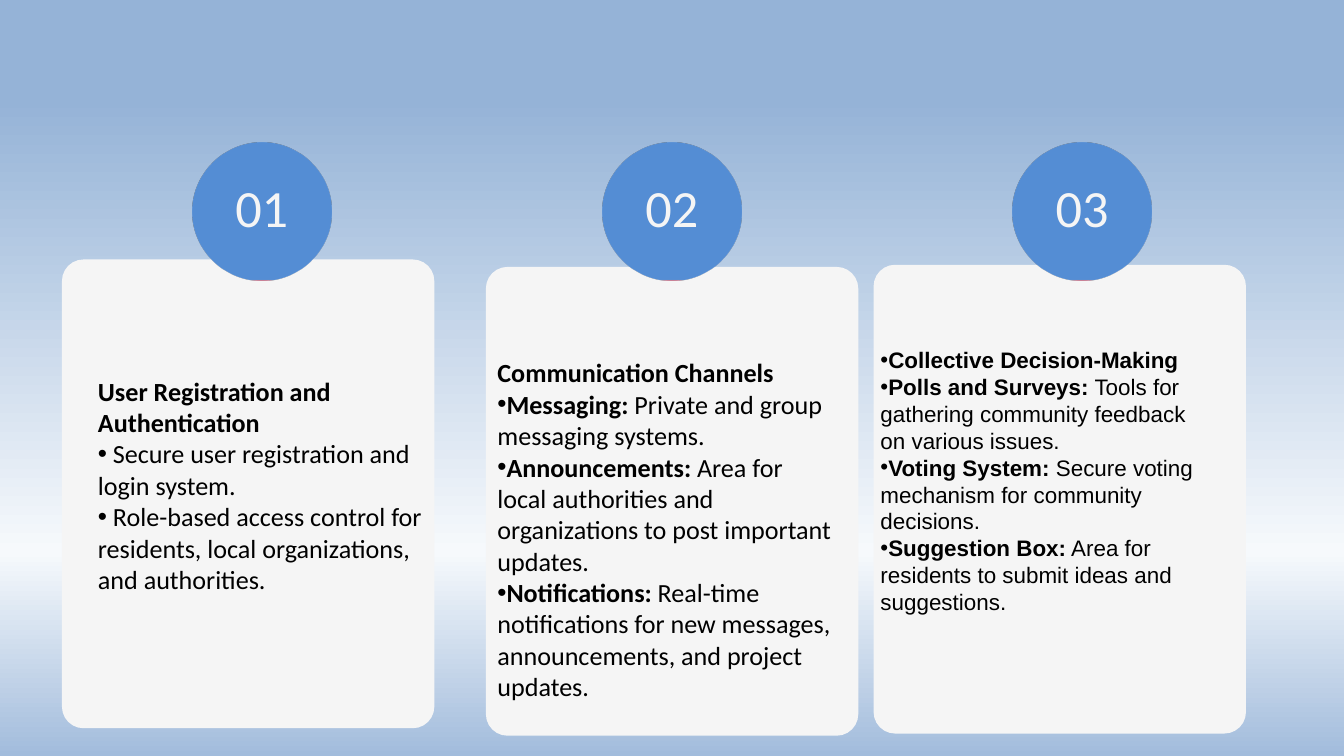
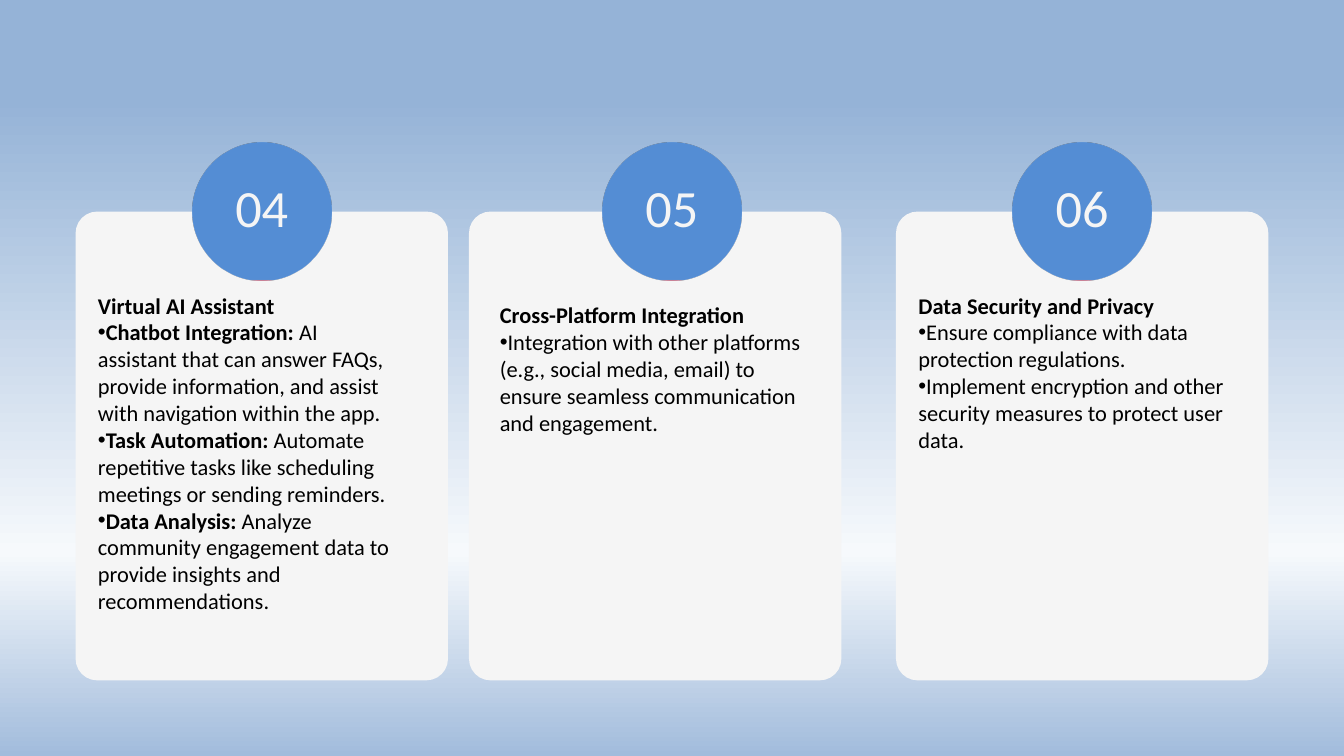
from lxml import etree
from pptx import Presentation
from pptx.dml.color import RGBColor
from pptx.enum.shapes import MSO_SHAPE
from pptx.enum.text import MSO_AUTO_SIZE, PP_ALIGN
from pptx.oxml.ns import qn
from pptx.util import Pt

OVAL, ROUND = MSO_SHAPE.OVAL, MSO_SHAPE.ROUNDED_RECTANGLE
LEFT, CENTER = PP_ALIGN.LEFT, PP_ALIGN.CENTER
GROW = MSO_AUTO_SIZE.SHAPE_TO_FIT_TEXT

WIDTH, HEIGHT = 1440, 810
PALE, BLACK = "F5F5F5", "000000"
# Gradient stops: position in percent, colour, opacity in percent
SKY = [(13, "95B3D7", 100), (73, "F6F9FC", 22), (100, "A2BCDC", 100),
       (100, "AEC5E1", 100), (100, "C6D6EA", 100)]
BADGE = [(99, "558ED5", 100), (100, "FF2929", 54)]

CARD_W, CARD_H, CORNER = 399, 502.3, 0.058
DISC, DISC_TOP, PITCH = 148.5, 152.6, 439.5
NUM_W, NUM_H, NUM_TOP = 121.5, 70, 188

# Each card: (left, top), text box (left, top, width, height), size, font, lines.
# "•" starts a bullet; text before "|" is bold, text after it is plain.
CORE = [
    ((66.4, 278), (105, 401.8, 350.6, 291), 28, "Calibri", [
        "User Registration and Authentication",
        "•| Secure user registration and login system.",
        "•| Role-based access control for residents, local organizations, "
        "and authorities."]),
    ((520.6, 286), (533, 382.3, 363, 373), 28, "Calibri", [
        "Communication Channels",
        "•Messaging:| Private and group messaging systems.",
        "•Announcements:| Area for local authorities and organizations "
        "to post important updates.",
        "•Notifications:| Real-time notifications for new messages, "
        "announcements, and project updates."]),
    ((936, 283.7), (943.4, 371, 360, 291), 24, "Arial", [
        "•Collective Decision-Making",
        "•Polls and Surveys:| Tools for gathering community feedback "
        "on various issues.",
        "•Voting System:| Secure voting mechanism for community decisions.",
        "•Suggestion Box:| Area for residents to submit ideas and "
        "suggestions."]),
]
EXTRA = [
    ((81, 226.7), (105, 312.5, 319.7, 349), 24, "Calibri", [
        "Virtual AI Assistant",
        "•Chatbot Integration:| AI assistant that can answer FAQs, provide "
        "information, and assist with navigation within the app.",
        "•Task Automation:| Automate repetitive tasks like scheduling "
        "meetings or sending reminders.",
        "•Data Analysis:| Analyze community engagement data to provide "
        "insights and recommendations."]),
    ((502.5, 226.7), (535.5, 322.8, 329, 145.5), 24, "Calibri", [
        "Cross-Platform Integration",
        "•|Integration with other platforms (e.g., social media, email) to "
        "ensure seamless communication and engagement."]),
    ((960, 226.7), (984, 312.5, 337, 174), 24, "Calibri", [
        "Data Security and Privacy",
        "•|Ensure compliance with data protection regulations.",
        "•|Implement encryption and other security measures to protect "
        "user data."]),
]


def paint(fill, tone):
    fill.solid()
    fill.fore_color.rgb = RGBColor.from_string(tone)


def blend(fill, owner, stops):
    """Give the fill a top-down gradient with any number of stops."""
    fill.gradient()
    grad = owner.find(".//" + qn("a:gradFill"))
    steps = grad.find(qn("a:gsLst"))
    for old in list(steps):
        steps.remove(old)
    for place, tone, solid in stops:
        stop = etree.SubElement(steps, qn("a:gs"), pos=str(place * 1000))
        hue = etree.SubElement(stop, qn("a:srgbClr"), val=tone)
        if solid < 100:
            etree.SubElement(hue, qn("a:alpha"), val=str(solid * 1000))
    line = grad.find(qn("a:lin"))
    line.set("ang", "5400000")
    line.set("scaled", "0")


def add_shape(slide, kind, *box):
    shape = slide.shapes.add_shape(kind, *map(Pt, box))
    shape.shadow.inherit = False
    shape.line.fill.background()
    return shape


def add_bullet(para):
    props = para._p.get_or_add_pPr()
    props.set("marL", "0")
    props.set("indent", "0")
    etree.SubElement(props, qn("a:buFont"), typeface="Arial")
    etree.SubElement(props, qn("a:buChar"), char="•")


def add_text(slide, lines, box, size, font="Calibri", tone=BLACK,
             bold=True, align=LEFT, pace=None):
    frame = slide.shapes.add_textbox(*map(Pt, box)).text_frame
    frame.margin_left = frame.margin_right = 0
    frame.margin_top = frame.margin_bottom = 0
    frame.word_wrap = True
    frame.auto_size = GROW
    for i, line in enumerate(lines):
        para = frame.add_paragraph() if i else frame.paragraphs[0]
        para.alignment = align
        if pace:
            para.line_spacing = Pt(pace)
        if line.startswith("•"):
            add_bullet(para)
        head, _, tail = line.removeprefix("•").partition("|")
        for words, heavy in ((head, bold), (tail, False)):
            if words:
                run = para.add_run()
                run.text = words
                run.font.size, run.font.name = Pt(size), font
                run.font.bold = heavy
                run.font.color.rgb = RGBColor.from_string(tone)


def add_card(slide, left, top):
    card = add_shape(slide, ROUND, left, top, CARD_W, CARD_H)
    card.adjustments[0] = CORNER
    paint(card.fill, PALE)


def add_badge(slide, col, number):
    mid = WIDTH / 2 + (col - 1) * PITCH
    disc = add_shape(slide, OVAL, mid - DISC / 2, DISC_TOP, DISC, DISC)
    blend(disc.fill, disc.element, BADGE)
    add_text(slide, [f"{number:02}"], (mid - NUM_W / 2, NUM_TOP, NUM_W, NUM_H),
             size=56, tone=PALE, bold=False, align=CENTER, pace=67.2)


def add_page(deck, cards, first):
    slide = deck.slides.add_slide(deck.slide_layouts[6])
    blend(slide.background.fill, slide.element, SKY)
    for spot, *_ in cards:
        add_card(slide, *spot)
    for col, (_, box, size, font, lines) in enumerate(cards):
        add_badge(slide, col, first + col)
        add_text(slide, lines, box, size=size, font=font)


def main():
    deck = Presentation()
    deck.slide_width, deck.slide_height = Pt(WIDTH), Pt(HEIGHT)
    add_page(deck, CORE, first=1)
    add_page(deck, EXTRA, first=4)
    deck.save("out.pptx")


if __name__ == "__main__":
    main()
